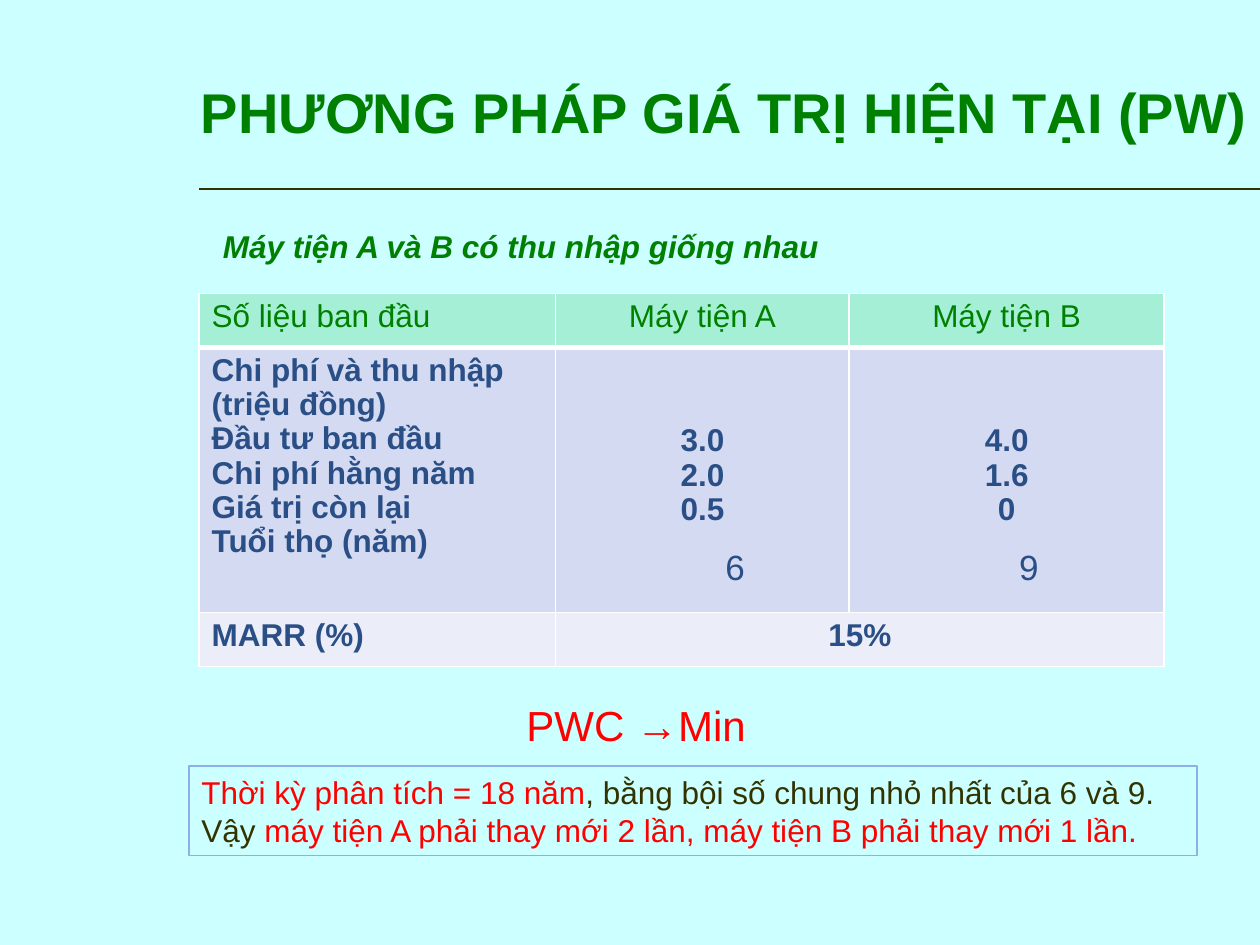
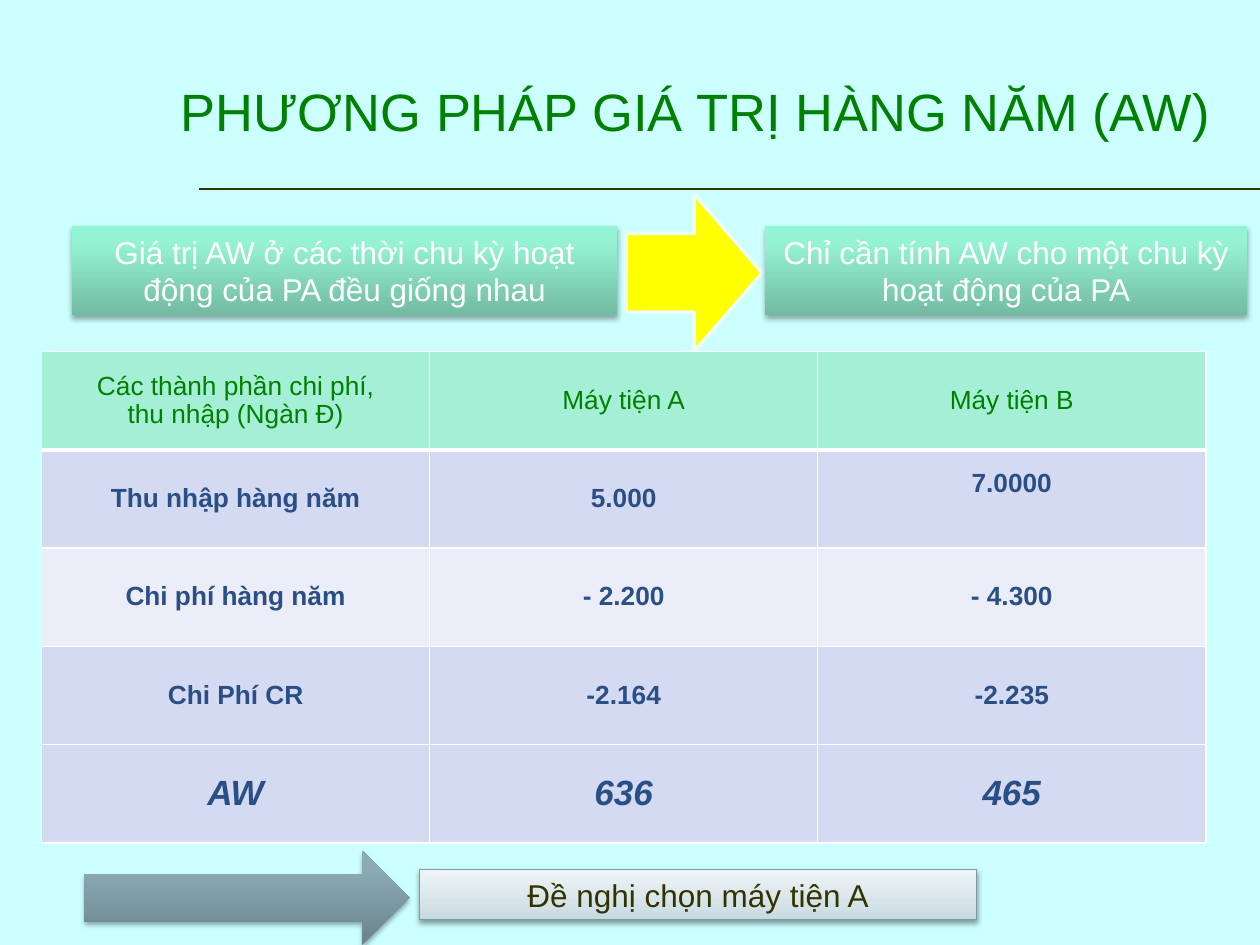
import pptx
import pptx.dml.color
import pptx.enum.shapes
import pptx.enum.text
import pptx.oxml.ns
import pptx.util
from lxml import etree

Inches, Pt, qn = pptx.util.Inches, pptx.util.Pt, pptx.oxml.ns.qn
ALIGN, ANCHOR = pptx.enum.text.PP_ALIGN, pptx.enum.text.MSO_ANCHOR
SHAPE = pptx.enum.shapes.MSO_SHAPE

# Shared colours and gradients
PAGE, GREEN, NAVY, OLIVE = "CCFFFF", "008000", "2A4F86", "333300"
RED, WHITE, YELLOW = "FF0000", "FFFFFF", "FFFF00"
HEADER, BAND_DARK, BAND_LIGHT = "A5EFD6", "D4DAF1", "EBEDF8"
MINT = [(0, "73BBA2"), (80, "95F2D3"), (100, "94F5D4")]
SLATE = [(0, "6B838B"), (80, "8BAAB4"), (100, "8AABB6")]
SILVER = [(0, "C5D9E1"), (35, "D6E4E9"), (100, "EFF5F7")]


def rgb(hex_colour):
    return pptx.dml.color.RGBColor.from_string(hex_colour)


def child(parent, tag, **attributes):
    return etree.SubElement(parent, qn(tag), {k: str(v) for k, v in attributes.items()})


class Deck:
    """Holds the style and the current slide."""

    def __init__(self):
        self.prs = pptx.Presentation()
        self.prs.slide_width, self.prs.slide_height = Inches(10), Inches(7.5)
        background = self.prs.slide_master.background.fill
        background.solid()
        background.fore_color.rgb = rgb(PAGE)
        self.slide = None

    def place(self, box):
        return [Inches(length) for length in box]

    def fill_text(self, frame, paragraphs, align=ALIGN.LEFT, spacing=None, **fmt):
        """A paragraph is a string or a list of (text, colour) runs."""
        for i, runs in enumerate(paragraphs):
            paragraph = frame.paragraphs[0] if i == 0 else frame.add_paragraph()
            paragraph.alignment, paragraph.line_spacing = align, spacing
            if isinstance(runs, str):
                runs = [(runs, fmt.get("color", OLIVE))]
            for text, colour in runs:
                run = paragraph.add_run()
                run.text = text
                values = {"name": "Arial", "size": 18, "bold": False, **fmt, "color": colour}
                for name, value in values.items():
                    if name == "color":
                        run.font.color.rgb = rgb(value)
                    else:
                        setattr(run.font, name, Pt(value) if name == "size" else value)

    def new_slide(self, title, box, align, **fmt):
        self.slide = self.prs.slides.add_slide(self.prs.slide_layouts[5])
        heading = self.slide.shapes.title
        heading.left, heading.top, heading.width, heading.height = self.place(box)
        frame = heading.text_frame
        frame.auto_size = pptx.enum.text.MSO_AUTO_SIZE.NONE
        frame.vertical_anchor = ANCHOR.MIDDLE
        self.fill_text(frame, [title], align, color=GREEN, **fmt)
        # Rule under the title
        rule = self.slide.shapes.add_connector(
            pptx.enum.shapes.MSO_CONNECTOR.STRAIGHT, *self.place((1.58, 1.5, 10, 1.5)))
        rule.line.color.rgb, rule.line.width = rgb(OLIVE), Pt(0.75)
        child(rule._element.spPr, "a:effectLst")

    def text(self, box, paragraphs, margin=None, wrap=True, anchor=ANCHOR.TOP, **fmt):
        frame = self.slide.shapes.add_textbox(*self.place(box)).text_frame
        frame.word_wrap, frame.vertical_anchor = wrap, anchor
        if margin is not None:
            frame.margin_left = frame.margin_right = Inches(margin)
        self.fill_text(frame, paragraphs, **fmt)

    def shape(self, kind, box, fill=None, line=None, shadow=None, paragraphs=(), **fmt):
        """fill: hex or gradient stops; line: (hex, pt); shadow: (opacity, distance)."""
        shape = self.slide.shapes.add_shape(kind, *self.place(box))
        shape.shadow.inherit = False
        if fill is None:
            shape.fill.background()
        elif isinstance(fill, str):
            shape.fill.solid()
            shape.fill.fore_color.rgb = rgb(fill)
        else:
            self.gradient(shape, fill)
        if line:
            shape.line.color.rgb, shape.line.width = rgb(line[0]), Pt(line[1])
        else:
            shape.line.fill.background()
        if shadow:
            opacity, distance = shadow
            outer = child(shape._element.spPr.find(qn("a:effectLst")), "a:outerShdw",
                          blurRad=Pt(3.1), dist=Pt(distance), dir=5400000, rotWithShape=0)
            black = child(outer, "a:srgbClr", val="000000")
            child(black, "a:alpha", val=opacity * 1000)
        shape.text_frame.word_wrap = True
        shape.text_frame.vertical_anchor = ANCHOR.MIDDLE
        self.fill_text(shape.text_frame, paragraphs, **fmt)

    def gradient(self, shape, stops):
        shape.fill.gradient()
        shape.fill.gradient_angle = 90
        stop_list = shape._element.spPr.find(qn("a:gradFill")).find(qn("a:gsLst"))
        for old_stop in list(stop_list):
            stop_list.remove(old_stop)
        for position, colour in stops:
            stop = child(stop_list, "a:gs", pos=position * 1000)
            child(stop, "a:srgbClr", val=colour)

    def table(self, box, widths, heights, rows, bands, aligns, anchor, size):
        """Each cell is a list of paragraphs; None joins the cell to its left."""
        table = self.slide.shapes.add_table(len(rows), len(widths), *self.place(box)).table
        table.first_row = table.horz_banding = False
        for column, width in zip(table.columns, widths):
            column.width = Inches(width)
        for row, height in zip(table.rows, heights):
            row.height = Inches(height)
        for r, cells in enumerate(rows):
            for c, paragraphs in enumerate(cells):
                cell = table.cell(r, c)
                cell.fill.solid()
                cell.fill.fore_color.rgb = rgb(bands[r])
                cell.vertical_anchor = anchor
                self.borders(cell, r)
                if paragraphs is None:
                    table.cell(r, c - 1).merge(cell)
                    continue
                fmt = {"color": NAVY, "bold": True} if r else {"color": GREEN}
                self.fill_text(cell.text_frame, paragraphs, aligns[c], 0.97, size=size, **fmt)
        return table

    def borders(self, cell, row):
        """White grid, heavier between the header and the first data row."""
        widths = {"L": 1, "R": 1, "T": 3 if row == 1 else 1, "B": 3 if row == 0 else 1}
        properties = cell._tc.get_or_add_tcPr()
        for i, (side, width) in enumerate(widths.items()):
            edge = child(properties, f"a:ln{side}", w=Pt(width))
            child(child(edge, "a:solidFill"), "a:srgbClr", val=WHITE)
            properties.insert(i, edge)


def present_worth(deck):
    deck.new_slide("PHƯƠNG PHÁP GIÁ TRỊ HIỆN TẠI (PW)", (1.08, 0.42, 8.92, 0.92),
                   ALIGN.RIGHT, size=32, bold=True)
    deck.text((1.67, 1.75, 4.95, 0.4), ["Máy tiện A và B có thu nhập giống nhau"],
              wrap=False, color=GREEN, bold=True, italic=True)

    # Initial data of both lathes
    costs = ["Chi phí và thu nhập", "(triệu đồng)", "Đầu tư ban đầu",
             "Chi phí hằng năm", "Giá trị còn lại", "Tuổi thọ (năm)"]
    data = deck.table(
        (1.58, 2.33, 7.67, 2.97), (2.83, 2.33, 2.5), (0.43, 2.1, 0.43),
        [[["Số liệu ban đầu"], ["Máy tiện A"], ["Máy tiện B"]],
         [costs, ["3.0", "2.0", "0.5"], ["4.0", "1.6", "0"]],
         [["MARR (%)"], ["15%"], None]],
        (HEADER, BAND_DARK, BAND_LIGHT),
        (ALIGN.LEFT, ALIGN.CENTER, ALIGN.CENTER), ANCHOR.TOP, 18)
    for lathe in (1, 2):  # start level with the third line of the cost labels
        data.cell(1, lathe).margin_top = Inches(0.61)

    # Service lives
    for years, left, width in (("6", 5.67, 0.33), ("9", 7.83, 0.67)):
        deck.text((left, 4.33, width, 0.33), [years], margin=0, anchor=ANCHOR.MIDDLE,
                  align=ALIGN.CENTER, size=20, color=NAVY)

    # Criterion and analysis period
    deck.text((4.08, 5.5, 2.92, 0.5), ["PWC →Min"], size=24, color=RED)
    deck.shape(SHAPE.RECTANGLE, (1.5, 6.08, 8, 0.71), line=("8FAFE9", 0.75), paragraphs=[
        [("Thời kỳ phân tích = 18 năm", RED),
         (", bằng bội số chung nhỏ nhất của 6 và 9.", OLIVE)],
        [("Vậy ", OLIVE),
         ("máy tiện A phải thay mới 2 lần, máy tiện B phải thay mới 1 lần.", RED)]])


def annual_worth(deck):
    deck.new_slide("PHƯƠNG PHÁP GIÁ TRỊ HÀNG NĂM (AW)", (1.33, 0.25, 8.92, 1.25),
                   ALIGN.LEFT, size=30)

    # Premise and consequence
    deck.shape(SHAPE.RIGHT_ARROW, (4.97, 1.54, 1.08, 1.25), YELLOW, ("EDFCF7", 2))
    for left, width, statement in (
            (0.57, 4.33, "Giá trị AW ở các thời chu kỳ hoạt động của PA đều giống nhau"),
            (6.07, 3.83, "Chỉ cần tính AW cho một chu kỳ hoạt động của PA")):
        deck.shape(SHAPE.RECTANGLE, (left, 1.79, width, 0.71), MINT, shadow=(35, 1.8),
                   paragraphs=[statement], align=ALIGN.CENTER, color=WHITE)

    # Annual worth of both lathes
    rows = [[["Các thành phần chi phí,", "thu nhập (Ngàn Đ)"], ["Máy tiện A"], ["Máy tiện B"]],
            [["Thu nhập hàng năm"], ["5.000"], ["7.0000"]],
            [["Chi phí hàng năm"], ["- 2.200"], ["- 4.300"]],
            [["Chi Phí CR"], ["-2.164"], ["-2.235"]],
            [["AW"], ["636"], ["465"]]]
    worth = deck.table(
        (0.33, 2.79, 9.25, 3.91), [3.08] * 3, [0.78] * 5, rows,
        (HEADER, BAND_DARK, BAND_LIGHT, BAND_DARK, BAND_DARK),
        [ALIGN.CENTER] * 3, ANCHOR.MIDDLE, 15)
    worth.cell(1, 2).margin_bottom = Inches(0.29)
    for column in range(3):
        total = worth.cell(4, column).text_frame.paragraphs[0].runs[0].font
        total.size, total.italic = Pt(20), True

    # Recommendation
    deck.shape(SHAPE.RIGHT_ARROW, (0.67, 6.75, 2.58, 0.75), SLATE, shadow=(35, 1.8))
    deck.shape(SHAPE.RECTANGLE, (3.33, 6.9, 4.42, 0.4), SILVER, ("8299A1", 0.75), (38, 1.6),
               ["Đề nghị chọn máy tiện A"], align=ALIGN.CENTER)


def main():
    deck = Deck()
    present_worth(deck)
    annual_worth(deck)
    deck.prs.save("out.pptx")


if __name__ == "__main__":
    main()
